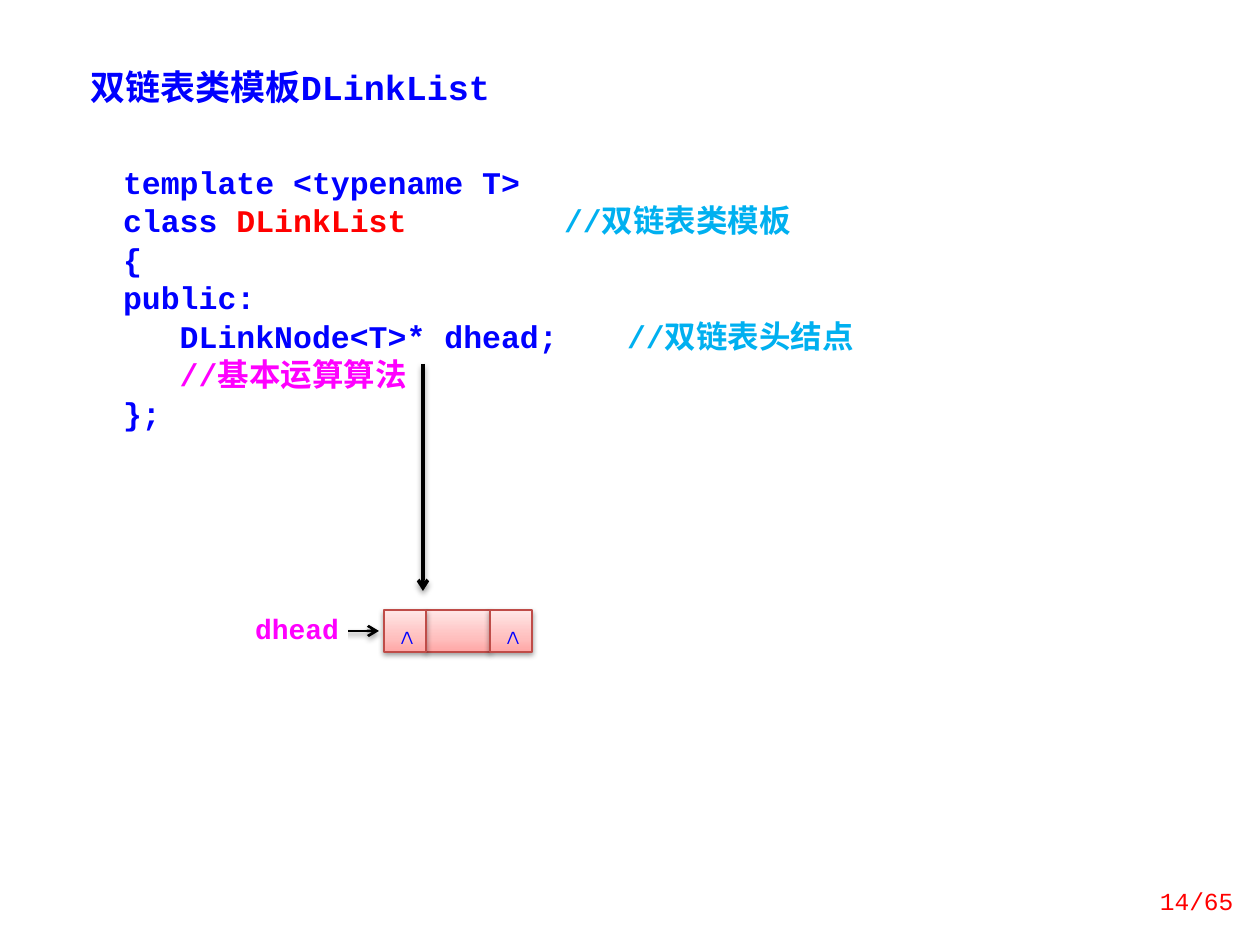
"""Builds the slide on the doubly linked list class template."""
from pptx import Presentation
from pptx import util as u
from pptx.dml.color import RGBColor
from pptx.enum import shapes, text
from pptx.oxml import parse_xml
from pptx.oxml.ns import nsdecls

PX = 914400 // 126
HUES = {"blue": "0000FF", "red": "FF0000", "sky": "00B0F0", "pink": "FF00FF",
        "black": "000000", "white": "FFFFFF", "edge": "BF4C48"}
STOPS = ((0, "FFA6A5"), (35, "FFC0BF"), (100, "FFE7E7"))
SHADE = (f'<a:effectLst {nsdecls("a")}><a:outerShdw blurRad="40000" dist="20000" '
         'dir="5400000" rotWithShape="0"><a:srgbClr val="000000">'
         '<a:alpha val="38000"/></a:srgbClr></a:outerShdw></a:effectLst>')
GRAD = (f'<a:gradFill {nsdecls("a")} rotWithShape="1"><a:gsLst>'
        + "".join(f'<a:gs pos="{pos * 1000}"><a:srgbClr val="{hue}"/></a:gs>'
                  for pos, hue in STOPS)
        + '</a:gsLst><a:lin ang="16200000" scaled="0"/></a:gradFill>')


def write(para, parts, size, bold=True):
    for words, hue in parts:
        run = para.add_run()
        run.text = words
        run.font.name = "Courier New"
        run.font.size = u.Pt(size)
        run.font.bold = bold
        run.font.color.rgb = RGBColor.from_string(HUES[hue])


def place(host, box, inset, hue=None):
    rect = host.add_shape(shapes.MSO_SHAPE.RECTANGLE, *(n * PX for n in box))
    rect.shadow.inherit = False
    rect.line.fill.background()
    if hue:
        rect.fill.solid()
        rect.fill.fore_color.rgb = RGBColor.from_string(HUES[hue])
    frame = rect.text_frame
    frame.margin_left, frame.margin_top, frame.margin_right, frame.margin_bottom = (
        n * PX for n in inset)
    frame.vertical_anchor = text.MSO_ANCHOR.TOP
    frame.word_wrap = True
    return rect


deck = Presentation()
deck.slide_width, deck.slide_height = 1260 * PX, 945 * PX
slide = deck.slides.add_slide(deck.slide_layouts[6])

title = slide.shapes.add_textbox(78 * PX, 59 * PX, 610 * PX, 55 * PX).text_frame
title.word_wrap = True
write(title.paragraphs[0], [("双链表类模板DLinkList", "blue")], 20)

code = place(slide.shapes, (98, 147, 955, 302), (25, 15, 13, 15), "white").text_frame
lines = (
    [("template <typename T>", "blue")],
    [("class ", "blue"), ("DLinkList\t\t\t", "red"), ("//双链表类模板", "sky")],
    [("{", "blue")],
    [("public:", "blue")],
    [("   DLinkNode<T>* dhead;\t\t", "blue"), ("//双链表头结点", "sky")],
    [("   ", "blue"), ("//基本运算算法", "pink")],
    [("};", "blue")],
)
for row, parts in enumerate(lines):
    para = code.add_paragraph() if row else code.paragraphs[0]
    para.alignment = text.PP_ALIGN.LEFT
    para.line_spacing = u.Pt(22)
    write(para, parts, 18)

node = slide.shapes.add_group_shape().shapes
for left, width, mark in ((426, 64, ""), (490, 42, "∧"), (384, 42, "∧")):
    cell = place(node, (left, 610, width, 42), (4, 0, 0, 0))
    cell.fill.background()
    props = cell.fill._xPr
    props.replace(props.find("{*}noFill"), parse_xml(GRAD))
    cell.line.color.rgb = RGBColor.from_string(HUES["edge"])
    cell.line.width = u.Pt(0.75)
    props.replace(props.find("{*}effectLst"), parse_xml(SHADE))
    if mark:
        para = cell.text_frame.paragraphs[0]
        para.alignment = text.PP_ALIGN.CENTER
        para.line_spacing = u.Pt(23)
        write(para, [(mark, "blue")], 16)

for host, ends, width in ((slide.shapes, (423, 364, 423, 591), 2),
                          (node, (340, 631, 379, 631), 1.5)):
    arrow = host.add_connector(shapes.MSO_CONNECTOR.STRAIGHT, *(n * PX for n in ends))
    arrow.line.color.rgb = RGBColor.from_string(HUES["black"])
    arrow.line.width = u.Pt(width)
    arrow.line._get_or_add_ln().append(
        parse_xml(f'<a:tailEnd {nsdecls("a")} type="arrow"/>'))
    arrow._element.spPr.append(parse_xml(SHADE))

label = place(node, (246, 612, 102, 42), (0, 0, 0, 0), "white")
para = label.text_frame.paragraphs[0]
para.alignment = text.PP_ALIGN.CENTER
write(para, [("dhead", "pink")], 16)

page = slide.shapes.add_textbox(1131 * PX, 876 * PX, 115 * PX, 50 * PX).text_frame
page.word_wrap = True
page.vertical_anchor = text.MSO_ANCHOR.MIDDLE
page.paragraphs[0].alignment = text.PP_ALIGN.RIGHT
write(page.paragraphs[0], [("14/65", "red")], 14, False)

deck.save("out.pptx")
